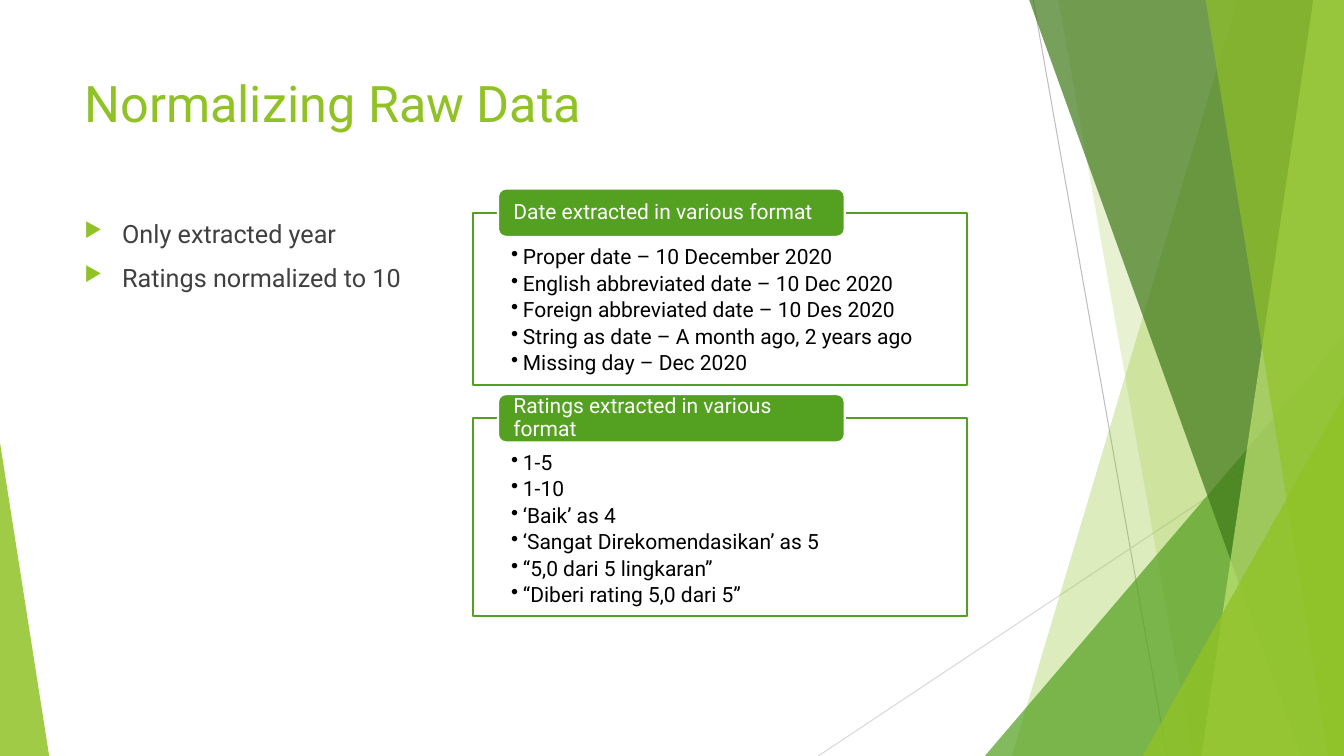
from lxml import etree
from pptx import Presentation
from pptx.dml.color import RGBColor
from pptx.enum.shapes import MSO_CONNECTOR, MSO_SHAPE
from pptx.enum.text import MSO_ANCHOR, PP_ALIGN
from pptx.oxml.ns import qn
from pptx.util import Cm, Pt

RECTANGLE = MSO_SHAPE.RECTANGLE
ROUNDED = MSO_SHAPE.ROUNDED_RECTANGLE
TRIANGLE = MSO_SHAPE.ISOSCELES_TRIANGLE
STRAIGHT = MSO_CONNECTOR.STRAIGHT
TOP, MIDDLE = MSO_ANCHOR.TOP, MSO_ANCHOR.MIDDLE
LEFT = PP_ALIGN.LEFT

WIDTH, HEIGHT = 33.87, 19.05
LIME, GREEN, WHITE = "90C226", "54A021", "FFFFFF"


def rgb(value):
    return RGBColor.from_string(value)


def add_bullet(para, char, indent, color=None, percent=None):
    """Give a paragraph a hanging bullet; indent is in cm."""
    props = para._p.get_or_add_pPr()
    props.set("marL", str(Cm(indent)))
    props.set("indent", str(-Cm(indent)))
    if color:
        holder = etree.SubElement(props, qn("a:buClr"))
        etree.SubElement(holder, qn("a:srgbClr"), val=color)
    if percent:
        etree.SubElement(props, qn("a:buSzPct"), val=str(percent * 1000))
    etree.SubElement(props, qn("a:buChar"), char=char)


def write(shape, lines, size, color, anchor=TOP, insets=(0.25, 0.13, 0.25, 0.13),
          spacing=None, before=0, after=0, bullet=None):
    """Fill a shape with one paragraph per line of text."""
    frame = shape.text_frame
    frame.word_wrap = True
    frame.vertical_anchor = anchor
    (frame.margin_left, frame.margin_top,
     frame.margin_right, frame.margin_bottom) = map(Cm, insets)
    for index, line in enumerate(lines):
        para = frame.add_paragraph() if index else frame.paragraphs[0]
        if bullet:
            add_bullet(para, **bullet)
        para.alignment = LEFT
        para.space_before = Pt(before if index else 0)
        para.space_after = Pt(after)
        if spacing:
            para.line_spacing = spacing
        span = para.add_run()
        span.text = line
        span.font.name = Painter.font
        span.font.size = Pt(size)
        span.font.color.rgb = rgb(color)


class Painter:
    font = "Roboto"

    def __init__(self, page):
        self.page = page

    def style(self, shape, fill, opacity=100, line=None):
        shape.shadow.inherit = False
        shape.fill.solid()
        shape.fill.fore_color.rgb = rgb(fill)
        if opacity < 100:
            color = shape.fill._xPr.find(qn("a:solidFill"))[0]
            etree.SubElement(color, qn("a:alpha"), val=str(opacity * 1000))
        if line:
            shape.line.color.rgb = rgb(line)
            shape.line.width = Pt(1.5)
        else:
            shape.line.fill.background()

    def shape(self, kind, bounds, fill, opacity=100, line=None, adjust=None):
        shape = self.page.shapes.add_shape(kind, *map(Cm, bounds))
        if adjust is not None:
            shape.adjustments[0] = adjust
        self.style(shape, fill, opacity, line)
        return shape

    def facet(self, top_x, bottom_x, fill, opacity):
        """Draw a band from a slanted left side to the slide's right edge."""
        builder = self.page.shapes.build_freeform(Cm(top_x), Cm(-0.02))
        corners = [(WIDTH, -0.02), (WIDTH, HEIGHT), (bottom_x, HEIGHT)]
        builder.add_line_segments([(Cm(x), Cm(y)) for x, y in corners])
        self.style(builder.convert_to_shape(), fill, opacity)

    def line(self, ends, color):
        connector = self.page.shapes.add_connector(STRAIGHT, *map(Cm, ends))
        connector.line.color.rgb = rgb(color)
        connector.line.width = Pt(0.75)
        etree.SubElement(connector._element.spPr, qn("a:effectLst"))

    def text(self, bounds, lines, **form):
        write(self.page.shapes.add_textbox(*map(Cm, bounds)), lines, **form)

    def panel(self, top, height, heading, items):
        """Draw an outlined list with a heading tab on its top edge."""
        box = self.shape(RECTANGLE, (11.91, top, 12.47, height), WHITE, 90, GREEN)
        write(box, items, size=15, color="000000", insets=(0.97, 0.86, 0.97, 0.3),
              spacing=0.9, after=2.7, bullet={"char": "•", "indent": 0.3})
        tab = self.shape(ROUNDED, (12.55, top - 0.61, 8.74, 1.22), GREEN, line=WHITE)
        write(tab, [heading], size=15, color=WHITE, anchor=MIDDLE,
              insets=(0.33, 0, 0.33, 0), spacing=0.9)


def main():
    deck = Presentation()
    deck.slide_width, deck.slide_height = Cm(WIDTH), Cm(HEIGHT)
    page = deck.slides.add_slide(deck.slide_layouts[6])
    painter = Painter(page)

    # Background lines and facets
    painter.line((26.04, 0, 29.41, HEIGHT), "BFBFBF")
    painter.line((WIDTH, 10.24, 20.62, HEIGHT), "D9D9D9")
    painter.facet(31.19, 25.5, LIME, 30)
    painter.facet(26.67, 30.05, LIME, 20)
    painter.shape(TRIANGLE, (24.82, 8.46, 9.05, 10.59), GREEN, 72, adjust=1)
    painter.facet(25.93, 32.79, "3F7819", 70)
    painter.facet(33.1, 30.28, "C0E474", 70)
    painter.facet(30.38, 33.48, LIME, 65)
    painter.shape(TRIANGLE, (28.8, 9.98, 5.07, 9.07), LIME, 80, adjust=1)
    painter.shape(TRIANGLE, (0, 11.15, 1.24, 7.9), LIME, 85, adjust=0)

    # Title
    painter.text((1.88, 1.7, 23.88, 3.66), ["Normalizing Raw Data"],
                 size=36, color=LIME)

    # Source formats
    painter.panel(5.36, 4.34, "Date extracted in various format", [
        "Proper date – 10 December 2020",
        "English abbreviated date – 10 Dec 2020",
        "Foreign abbreviated date – 10 Des 2020",
        "String as date – A month ago, 2 years ago",
        "Missing day – Dec 2020",
    ])
    painter.panel(10.54, 4.98, "Ratings extracted in various format", [
        "1-5",
        "1-10",
        "‘Baik’ as 4",
        "‘Sangat Direkomendasikan’ as 5",
        "“5,0 dari 5 lingkaran”",
        "“Diberi rating 5,0 dari 5”",
    ])

    # Normalized result
    painter.text((1.88, 5.36, 11.63, 10.77),
                 ["Only extracted year", "Ratings normalized to 10"],
                 size=18, color="404040", before=10,
                 bullet={"char": "▶", "indent": 0.95, "color": LIME, "percent": 80})

    deck.save("out.pptx")


if __name__ == "__main__":
    main()
